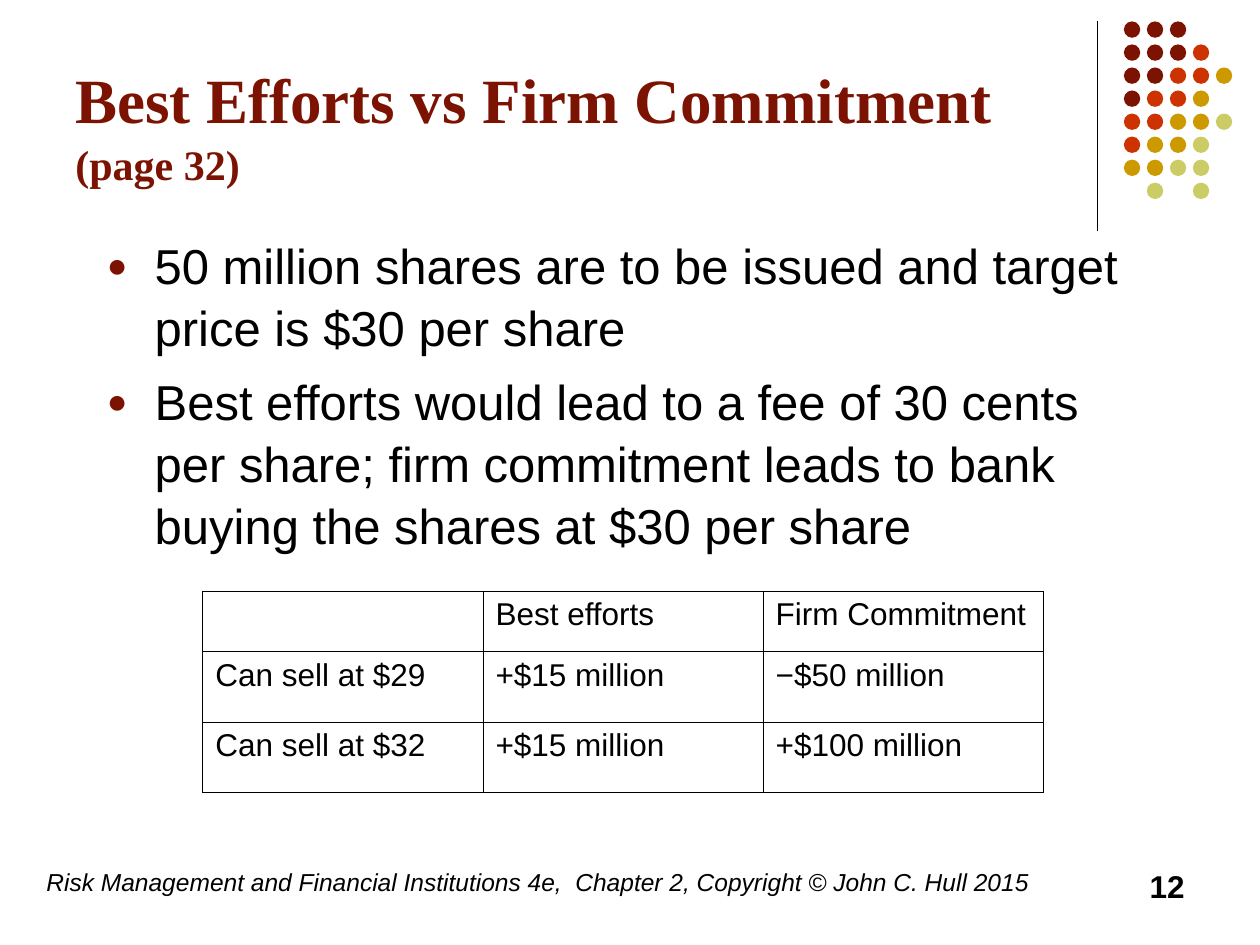
from lxml import etree
from pptx import Presentation
from pptx.dml.color import RGBColor
from pptx.enum.shapes import MSO_CONNECTOR as CONNECTOR, MSO_SHAPE as SHAPE
from pptx.enum.text import MSO_ANCHOR as ANCHOR, PP_ALIGN as ALIGN
from pptx.oxml.ns import qn
from pptx.util import Inches, Pt

COLORS = {
    "maroon": "7C1302",
    "red": "CC3300",
    "gold": "CC9900",
    "olive": "CCCC66",
    "black": "000000",
}
DOT_COLORS = {"M": "maroon", "R": "red", "G": "gold", "O": "olive"}
DOT_ROWS = ["MMM", "MMMR", "MMRRG", "MRRG", "RRGGO", "RGGO", "GGOO", " O O"]
TABLE_ROWS = [
    ["", "Best efforts", "Firm Commitment"],
    ["Can sell at $29", "+$15 million", "−$50 million"],
    ["Can sell at $32", "+$15 million", "+$100 million"],
]
BULLETS = [
    "50 million shares are to be issued and target price is $30 per share",
    "Best efforts would lead to a fee of 30 cents per share; "
    "firm commitment leads to bank buying the shares at $30 per share",
]


def rgb(name):
    return RGBColor.from_string(COLORS[name])


def add_run(paragraph, text, size, color="black", font="Arial", bold=False, italic=False):
    run = paragraph.add_run()
    run.text = text
    run.font.name = font
    run.font.size = Pt(size)
    run.font.bold = bold
    run.font.italic = italic
    run.font.color.rgb = rgb(color)


def add_text_frame(slide, left, top, width, height, anchor=ANCHOR.TOP):
    box = slide.shapes.add_textbox(Inches(left), Inches(top), Inches(width), Inches(height))
    frame = box.text_frame
    frame.word_wrap = True
    frame.vertical_anchor = anchor
    return frame


def add_divider(slide, x, top, bottom):
    line = slide.shapes.add_connector(
        CONNECTOR.STRAIGHT, Inches(x), Inches(top), Inches(x), Inches(bottom))
    line.line.color.rgb = rgb("black")
    line.line.width = Pt(0.75)
    etree.SubElement(line._element.spPr, qn("a:effectLst"))


def add_dots(slide, left, top, width, height):
    size = 0.13
    step_x = (width - size) / (max(map(len, DOT_ROWS)) - 1)
    step_y = (height - size) / (len(DOT_ROWS) - 1)
    group = slide.shapes.add_group_shape()
    for row, letters in enumerate(DOT_ROWS):
        for column, letter in enumerate(letters):
            if letter == " ":
                continue
            dot = group.shapes.add_shape(
                SHAPE.OVAL, Inches(left + column * step_x), Inches(top + row * step_y),
                Inches(size), Inches(size))
            dot.shadow.inherit = False
            dot.fill.solid()
            dot.fill.fore_color.rgb = rgb(DOT_COLORS[letter])
            dot.line.fill.background()


def add_title(slide, left, top, width, height):
    frame = add_text_frame(slide, left, top, width, height, ANCHOR.BOTTOM)
    paragraph = frame.paragraphs[0]
    paragraph.line_spacing = 1.05
    for text, size in [("Best Efforts vs Firm Commitment ", 36), ("(page 32)", 24)]:
        add_run(paragraph, text, size, "maroon", "Times New Roman", bold=True)


def set_bullet(paragraph):
    properties = paragraph._p.get_or_add_pPr()
    properties.set("marL", str(Inches(0.38)))
    properties.set("indent", str(Inches(-0.38)))
    color = etree.SubElement(properties, qn("a:buClr"))
    etree.SubElement(color, qn("a:srgbClr"), val=COLORS["maroon"])
    etree.SubElement(properties, qn("a:buSzPct"), val="70000")
    etree.SubElement(properties, qn("a:buFont"), typeface="Arial")
    etree.SubElement(properties, qn("a:buChar"), char="●")


def add_bullets(slide, left, top, width, height):
    frame = add_text_frame(slide, left, top, width, height)
    for index, text in enumerate(BULLETS):
        paragraph = frame.add_paragraph() if index else frame.paragraphs[0]
        set_bullet(paragraph)
        paragraph.line_spacing = 1.05
        if index:
            paragraph.space_before = Pt(7)
        add_run(paragraph, text, 28)


def set_borders(cell):
    properties = cell._tc.get_or_add_tcPr()
    for side in ("lnL", "lnR", "lnT", "lnB"):
        line = etree.SubElement(properties, qn(f"a:{side}"), w=str(Pt(0.45)))
        fill = etree.SubElement(line, qn("a:solidFill"))
        etree.SubElement(fill, qn("a:srgbClr"), val=COLORS["black"])


def add_outcome_table(slide, left, top, width, row_heights):
    table = slide.shapes.add_table(
        len(TABLE_ROWS), len(TABLE_ROWS[0]), Inches(left), Inches(top),
        Inches(width), Inches(sum(row_heights))).table
    table.first_row = False
    table.horz_banding = False
    for row, height in zip(table.rows, row_heights):
        row.height = Inches(height)
    for row, texts in enumerate(TABLE_ROWS):
        for column, text in enumerate(texts):
            cell = table.cell(row, column)
            set_borders(cell)
            cell.fill.background()
            if text:
                add_run(cell.text_frame.paragraphs[0], text, 18)


def add_footer(slide, left, top, width, height):
    frame = add_text_frame(slide, left, top, width, height)
    add_run(frame.paragraphs[0],
            "Risk Management and Financial Institutions 4e,  Chapter 2, "
            "Copyright © John C. Hull 2015", 14, italic=True)


def add_page_number(slide, left, top, width, height):
    paragraph = add_text_frame(slide, left, top, width, height).paragraphs[0]
    paragraph.alignment = ALIGN.RIGHT
    add_run(paragraph, "12", 18, bold=True)


def main():
    presentation = Presentation()
    presentation.slide_width = Inches(10)
    presentation.slide_height = Inches(7.5)
    slide = presentation.slides.add_slide(presentation.slide_layouts[6])
    add_divider(slide, 8.71, 0.17, 1.83)
    add_dots(slide, 8.92, 0.17, 0.86, 1.41)
    add_title(slide, 0.5, 0.13, 8.25, 1.42)
    add_bullets(slide, 0.75, 1.8, 8.5, 5.05)
    add_footer(slide, 0.27, 6.83, 8.27, 0.5)
    add_page_number(slide, 7.17, 6.83, 2.33, 0.5)
    add_outcome_table(slide, 1.61, 4.69, 6.67, [0.48, 0.56, 0.56])
    presentation.save("out.pptx")


if __name__ == "__main__":
    main()
